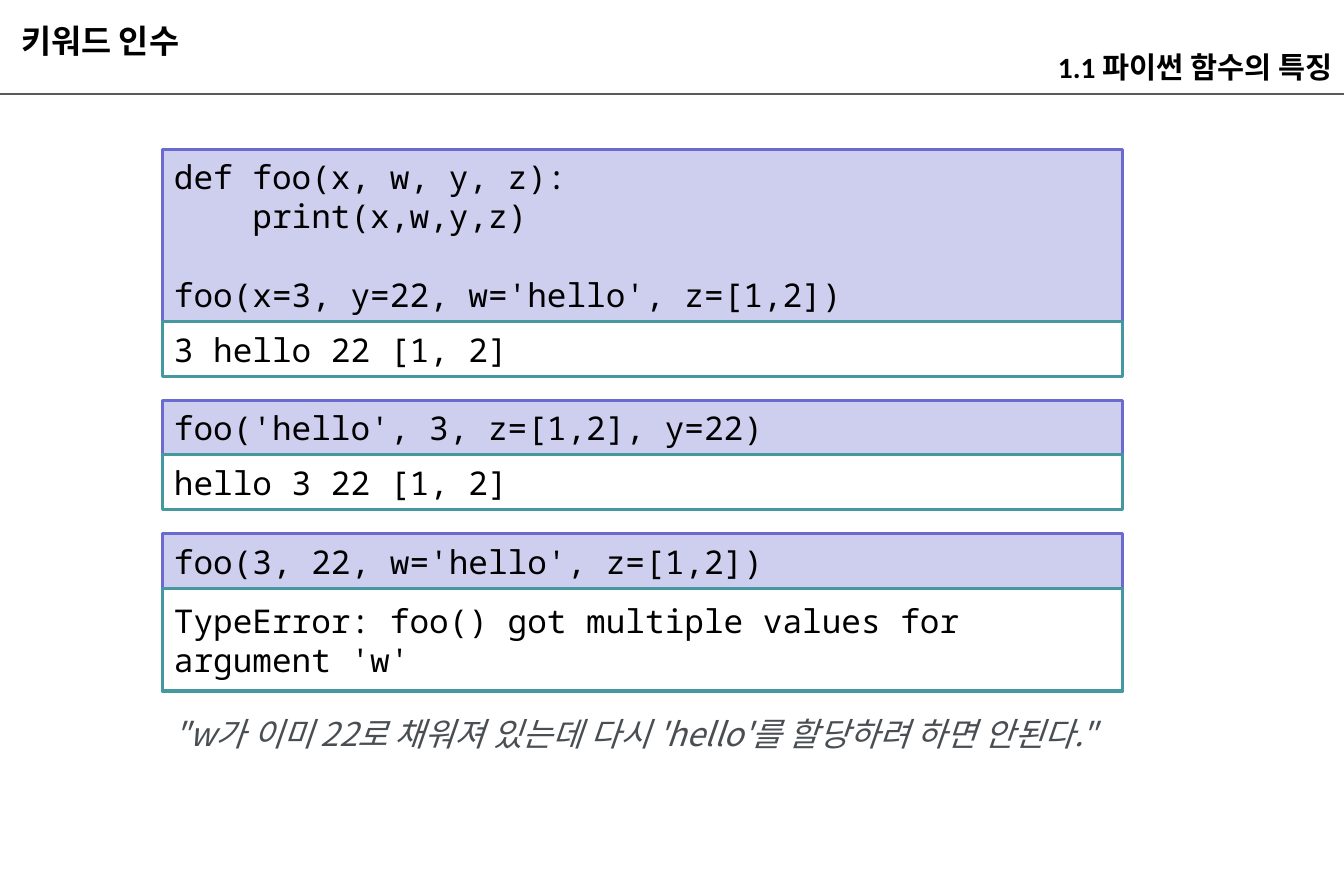
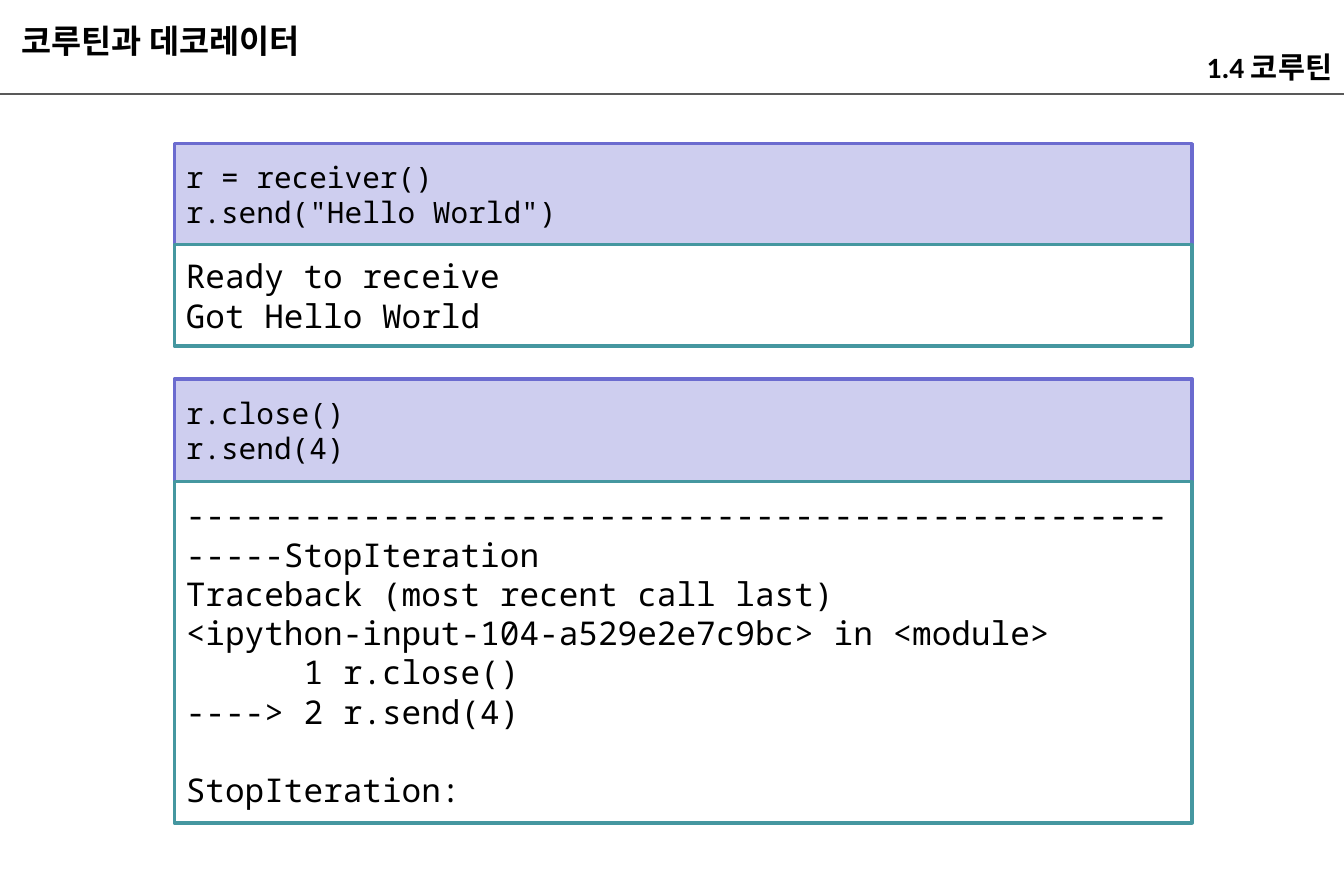
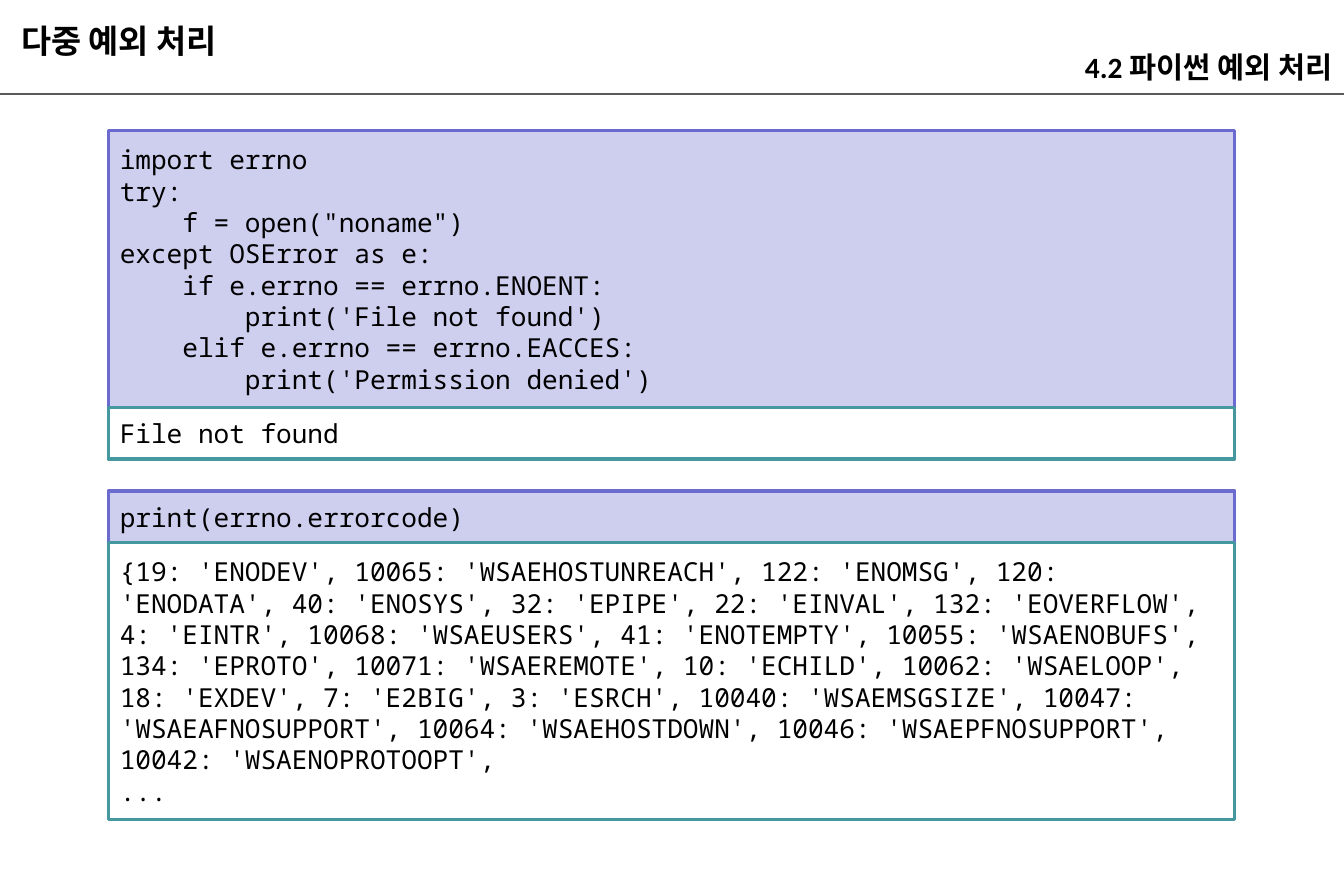
from dataclasses import dataclass
from typing import Optional

from lxml.etree import SubElement
from pptx import Presentation
from pptx.dml.color import RGBColor
from pptx.enum.shapes import MSO_CONNECTOR as Connector, MSO_SHAPE as Shape
from pptx.enum.text import MSO_ANCHOR as Anchor, MSO_AUTO_SIZE as AutoSize, PP_ALIGN as Align
from pptx.oxml.ns import qn
from pptx.util import Emu, Pt

EMU_PER_PX = 9144  # 100 px to the inch


def px(length: int) -> Emu:
    return Emu(length * EMU_PER_PX)


@dataclass(frozen=True)
class Theme:
    ink: str = "000000"
    rule: str = "595959"
    remark: str = "494E52"
    code_fill: str = "CECEEF"
    code_line: str = "6B6BCF"
    output_fill: str = "FFFFFF"
    output_line: str = "4597A0"
    heading_font: str = "Calibri"
    code_font: str = "Noto Sans Mono"
    remark_font: str = "Noto Sans CJK KR"
    title_size: int = 20
    section_size: int = 18
    remark_size: int = 20
    line_height: float = 1.2
    rule_width: float = 1.5
    border_width: float = 2


THEME = Theme()
WIDTH, HEIGHT, RULE_TOP = 1142, 750, 80


@dataclass(frozen=True)
class Box:
    left: int
    top: int
    width: int
    height: int


@dataclass(frozen=True)
class Example:
    """Code with the output below it."""
    code: str
    code_height: int
    output: str
    output_height: int


@dataclass(frozen=True)
class Lesson:
    title: str
    section: str
    left: int
    top: int
    width: int
    gap: int
    code_size: int
    output_size: int
    examples: tuple[Example, ...]
    remark: Optional[str] = None
    remark_box: Optional[Box] = None
    title_width: int = 511


# Text and placement
def write_text(frame, text: str, *, size: int, font: str, color: str = THEME.ink,
               bold: bool = False, italic: bool = False, align=Align.LEFT,
               anchor=Anchor.MIDDLE, margin_y: int = 5, unbullet: bool = False) -> None:
    """Write one paragraph per line; an empty line becomes space before the next."""
    frame.word_wrap = True
    frame.auto_size = AutoSize.NONE
    frame.vertical_anchor = anchor
    frame.margin_left = frame.margin_right = px(10)
    frame.margin_top = frame.margin_bottom = px(margin_y)
    space, paragraph = 0.0, None
    for line in text.split("\n"):
        if not line:
            space += size * THEME.line_height
            continue
        paragraph = frame.add_paragraph() if paragraph else frame.paragraphs[0]
        if unbullet:
            properties = paragraph._p.get_or_add_pPr()
            properties.set("marL", "0")
            properties.set("indent", "0")
            SubElement(properties, qn("a:buNone"))
        paragraph.alignment = align
        paragraph.space_before = Pt(space)
        run = paragraph.add_run()
        run.text = line
        run.font.size, run.font.name = Pt(size), font
        run.font.bold, run.font.italic = bold, italic
        run.font.color.rgb = RGBColor.from_string(color)
        space = 0.0


def place(shape, box: Box) -> None:
    shape.left, shape.top = px(box.left), px(box.top)
    shape.width, shape.height = px(box.width), px(box.height)


# Shared parts
def add_header_rule(slide, layout) -> None:
    """Draw the rule and move it to the layout, so that every slide shows it."""
    rule = slide.shapes.add_connector(
        Connector.STRAIGHT, px(0), px(RULE_TOP), px(WIDTH), px(RULE_TOP))
    rule.line.color.rgb = RGBColor.from_string(THEME.rule)
    rule.line.width = Pt(THEME.rule_width)
    SubElement(rule.element.spPr, qn("a:effectLst"))
    layout.element.cSld.spTree.append(rule.element)


def add_header(slide, lesson: Lesson) -> None:
    title, section = slide.shapes.title, slide.placeholders[1]
    place(title, Box(8, 9, lesson.title_width, 44))
    write_text(title.text_frame, lesson.title, size=THEME.title_size,
               font=THEME.heading_font, bold=True, anchor=Anchor.BOTTOM, margin_y=2)
    place(section, Box(611, 30, 531, 44))
    write_text(section.text_frame, lesson.section, size=THEME.section_size,
               font=THEME.heading_font, bold=True, align=Align.RIGHT,
               anchor=Anchor.BOTTOM, margin_y=2, unbullet=True)


def add_panel(slide, box: Box, text: str, size: int, fill: str, border: str) -> None:
    panel = slide.shapes.add_shape(Shape.RECTANGLE, 0, 0, 0, 0)
    place(panel, box)
    panel.shadow.inherit = False
    panel.fill.solid()
    panel.fill.fore_color.rgb = RGBColor.from_string(fill)
    panel.line.color.rgb = RGBColor.from_string(border)
    panel.line.width = Pt(THEME.border_width)
    write_text(panel.text_frame, text, size=size, font=THEME.code_font)


def add_examples(slide, lesson: Lesson) -> None:
    top = lesson.top
    for example in lesson.examples:
        add_panel(slide, Box(lesson.left, top, lesson.width, example.code_height),
                  example.code, lesson.code_size, THEME.code_fill, THEME.code_line)
        top += example.code_height
        add_panel(slide, Box(lesson.left, top, lesson.width, example.output_height),
                  example.output, lesson.output_size, THEME.output_fill, THEME.output_line)
        top += example.output_height + lesson.gap


def add_remark(slide, text: str, box: Box) -> None:
    remark = slide.shapes.add_textbox(0, 0, 0, 0)
    place(remark, box)
    write_text(remark.text_frame, text, size=THEME.remark_size, font=THEME.remark_font,
               color=THEME.remark, italic=True, anchor=Anchor.TOP)


# Content
KEYWORD_ARGUMENTS = Lesson(
    "키워드 인수", "1.1 파이썬 함수의 특징",
    left=138, top=127, width=816, gap=20, code_size=20, output_size=20,
    examples=(
        Example("""def foo(x, w, y, z):
    print(x,w,y,z)

foo(x=3, y=22, w='hello', z=[1,2])""", 146, "3 hello 22 [1, 2]", 47),
        Example("foo('hello', 3, z=[1,2], y=22)", 46, "hello 3 22 [1, 2]", 47),
        Example("foo(3, 22, w='hello', z=[1,2])", 47,
                "TypeError: foo() got multiple values for argument 'w'", 87),
    ),
    remark="\"w가 이미 22로 채워져 있는데 다시 'hello'를 할당하려 하면 안된다.\"",
    remark_box=Box(138, 601, 945, 44),
)

COROUTINE_DECORATOR = Lesson(
    "코루틴과 데코레이터", "1.4 코루틴",
    left=148, top=122, width=865, gap=28, code_size=18, output_size=20,
    examples=(
        Example('r = receiver()\nr.send("Hello World")', 86,
                "Ready to receive\nGot Hello World", 86),
        Example("r.close()\nr.send(4)", 87, "-" * 55 + """StopIteration
Traceback (most recent call last)
<ipython-input-104-a529e2e7c9bc> in <module>
      1 r.close()
----> 2 r.send(4)

StopIteration:""", 290),
    ),
)

MULTIPLE_EXCEPTIONS = Lesson(
    "다중 예외 처리", "4.2 파이썬 예외 처리",
    left=92, top=111, width=957, gap=27, code_size=16, output_size=16, title_width=649,
    examples=(
        Example("""import errno
try:
    f = open("noname")
except OSError as e:
    if e.errno == errno.ENOENT:
        print('File not found')
    elif e.errno == errno.EACCES:
        print('Permission denied')""", 235, "File not found", 44),
        Example(
            "print(errno.errorcode)", 44,
            "{19: 'ENODEV', 10065: 'WSAEHOSTUNREACH', 122: 'ENOMSG', 120: 'ENODATA', "
            "40: 'ENOSYS', 32: 'EPIPE', 22: 'EINVAL', 132: 'EOVERFLOW', 4: 'EINTR', "
            "10068: 'WSAEUSERS', 41: 'ENOTEMPTY', 10055: 'WSAENOBUFS', 134: 'EPROTO', "
            "10071: 'WSAEREMOTE', 10: 'ECHILD', 10062: 'WSAELOOP', 18: 'EXDEV', "
            "7: 'E2BIG', 3: 'ESRCH', 10040: 'WSAEMSGSIZE', 10047: 'WSAEAFNOSUPPORT', "
            "10064: 'WSAEHOSTDOWN', 10046: 'WSAEPFNOSUPPORT', 10042: 'WSAENOPROTOOPT',"
            "\n...", 235),
    ),
)

LESSONS = (KEYWORD_ARGUMENTS, COROUTINE_DECORATOR, MULTIPLE_EXCEPTIONS)


def main() -> None:
    deck = Presentation()
    deck.slide_width, deck.slide_height = px(WIDTH), px(HEIGHT)
    layout = deck.slide_layouts[1]
    for lesson in LESSONS:
        slide = deck.slides.add_slide(layout)
        add_header(slide, lesson)
        add_examples(slide, lesson)
        if lesson.remark and lesson.remark_box:
            add_remark(slide, lesson.remark, lesson.remark_box)
    add_header_rule(deck.slides[0], layout)
    deck.save("out.pptx")


if __name__ == "__main__":
    main()
